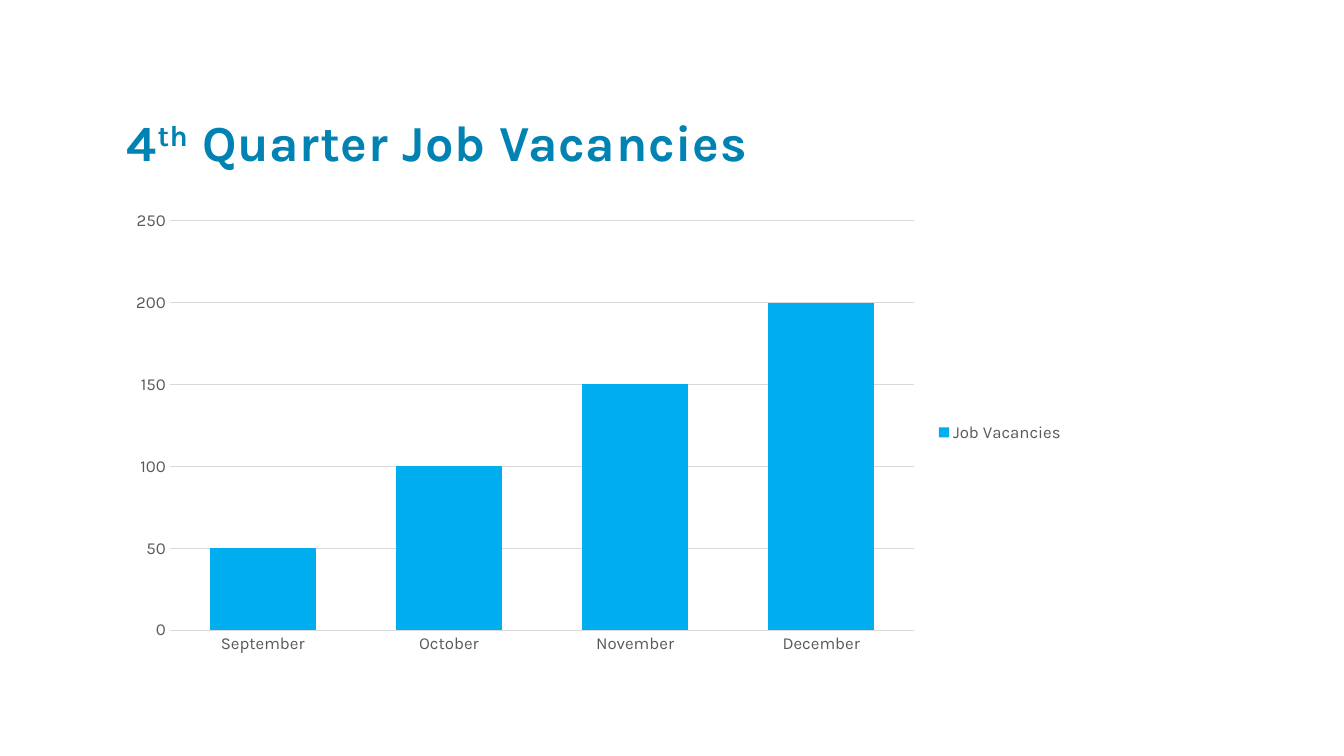
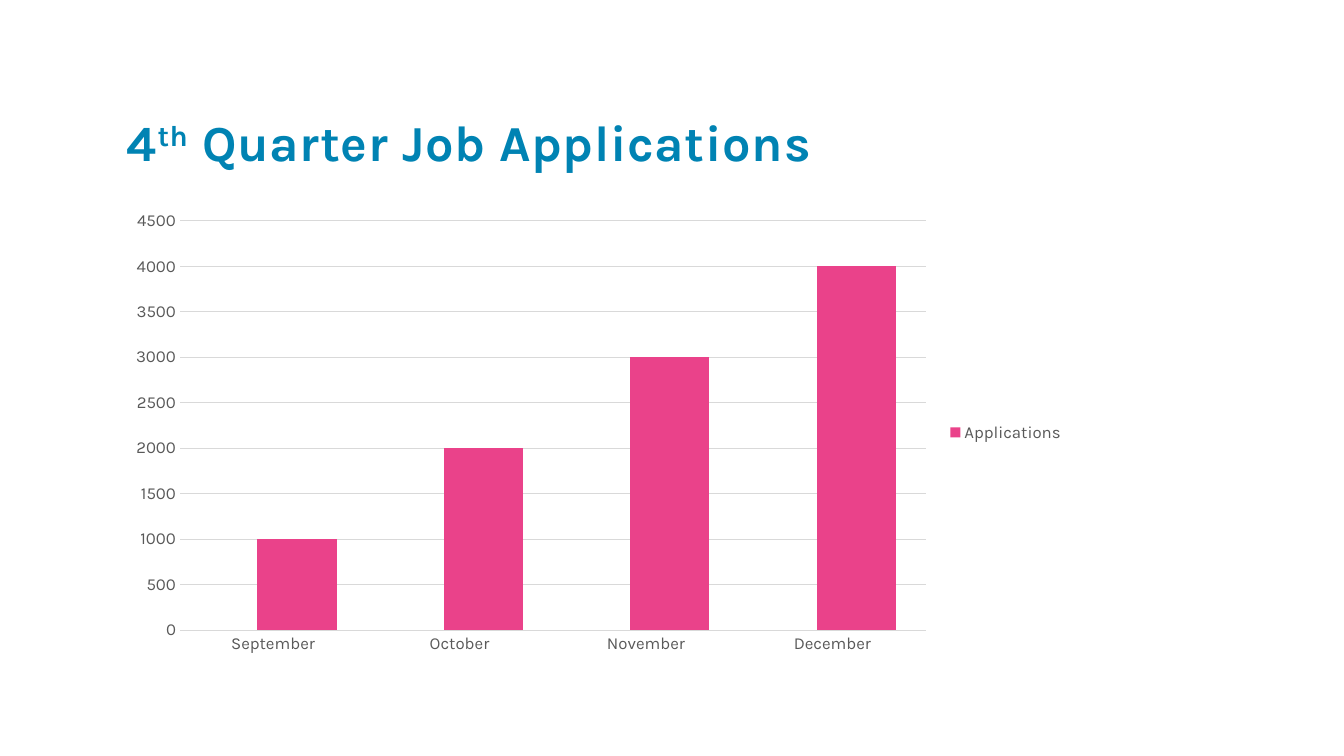
from lxml import etree
from pptx import Presentation
from pptx import util as u
from pptx.chart.data import CategoryChartData
from pptx.dml.color import RGBColor
from pptx.enum import chart as ch, text
from pptx.oxml.ns import qn

FONT = "Karla"
BLUE, GREY, RULE = "0083B3", "595959", "D9D9D9"
MONTHS = ["September", "October", "November", "December"]
LEFT, WIDTH = u.Inches(1.16), u.Inches(9.5)


def color(code):
    return RGBColor.from_string(code)


def style(font, size, code, bold=False):
    look = {"name": FONT, "size": u.Pt(size), "bold": bold}
    for key, value in look.items():
        setattr(font, key, value)
    font.color.rgb = color(code)


deck = Presentation()
deck.slide_width, deck.slide_height = u.Inches(13.33), u.Inches(7.5)

pages = [
    ("Job Vacancies", [("Job Vacancies", [50, 100, 150, 200], "00AEEF")], []),
    ("Job Applications",
     [("Series 1", [None] * 4, "00AEEF"),
      ("Applications", [1000, 2000, 3000, 4000], "EA428A")], [0]),
]

for topic, rows, hidden in pages:
    slide = deck.slides.add_slide(deck.slide_layouts[6])

    frame = slide.shapes.add_textbox(
        LEFT, u.Inches(0.58), WIDTH, u.Inches(1.17)).text_frame
    frame.word_wrap = True
    frame.vertical_anchor = text.MSO_ANCHOR.BOTTOM
    title = frame.paragraphs[0]
    title.line_spacing = 0.8
    for words, raised in [("4", 0), ("th", 30000), (f" Quarter {topic}", 0)]:
        run = title.add_run()
        run.text = words
        style(run.font, 36, BLUE, True)
        props = run._r.get_or_add_rPr()
        props.set("spc", "50")
        if raised:
            props.set("baseline", str(raised))

    data = CategoryChartData()
    data.categories = MONTHS
    for name, values, code in rows:
        data.add_series(name, values)
    chart = slide.shapes.add_chart(
        ch.XL_CHART_TYPE.COLUMN_CLUSTERED, LEFT, u.Inches(2), WIDTH,
        u.Inches(4.58), data).chart
    chart.has_title = False
    style(chart.font, 10, "000000")

    plot = chart.plots[0]
    for key, value in {"gap_width": 75, "overlap": 40,
                       "vary_by_categories": False}.items():
        setattr(plot, key, value)
    for bars, (name, values, code) in zip(plot.series, rows):
        bars.format.fill.solid()
        bars.format.fill.fore_color.rgb = color(code)

    months, scale = chart.category_axis, chart.value_axis
    for axis in (months, scale):
        axis.major_tick_mark = axis.minor_tick_mark = ch.XL_TICK_MARK.NONE
        style(axis.tick_labels.font, 12, GREY)
    scale.has_major_gridlines = True
    scale.format.line.fill.background()
    for part in (months, scale.major_gridlines):
        part.format.line.color.rgb = color(RULE)
        part.format.line.width = u.Pt(0.75)

    chart.has_legend = True
    legend = chart.legend
    legend.position = ch.XL_LEGEND_POSITION.RIGHT
    legend.include_in_layout = False
    style(legend.font, 12, GREY)
    for index in hidden:
        entry = etree.Element(qn("c:legendEntry"))
        etree.SubElement(entry, qn("c:idx")).set("val", str(index))
        etree.SubElement(entry, qn("c:delete")).set("val", "1")
        legend._element.insert(1, entry)

deck.save("out.pptx")
